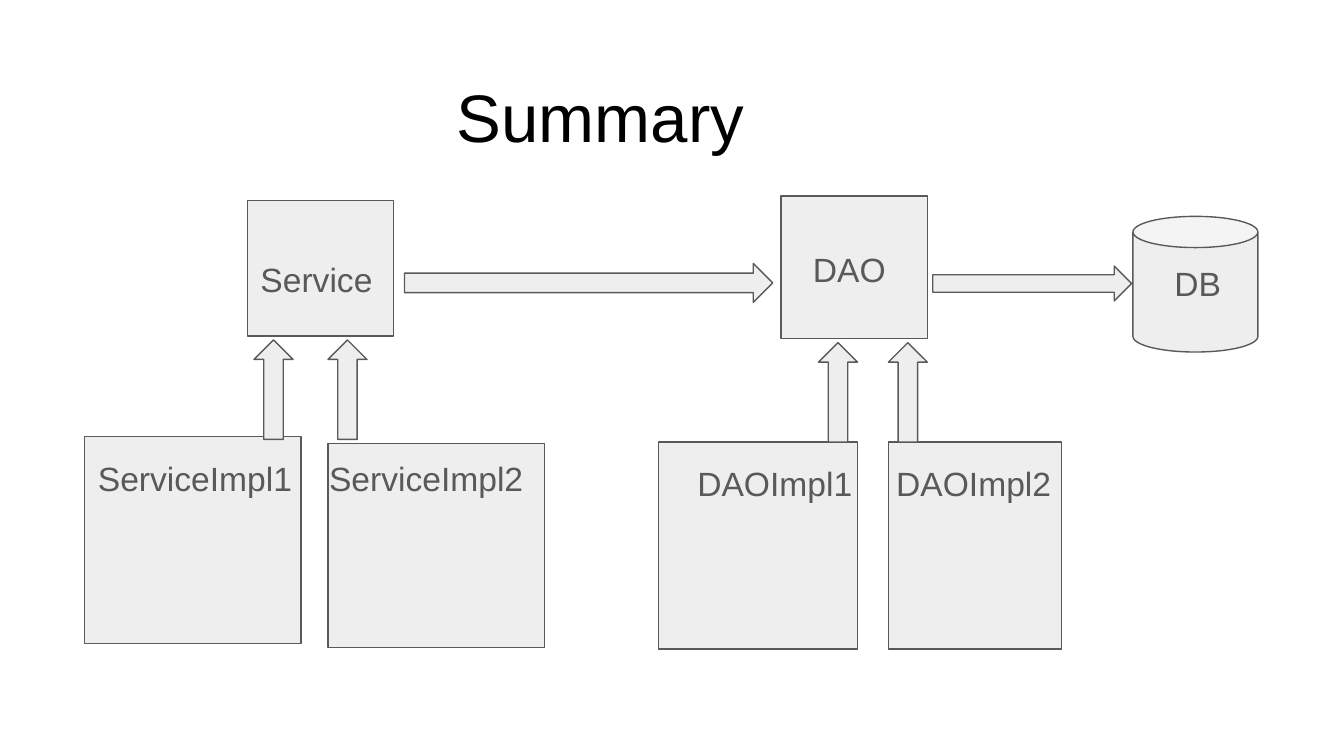
"""Build the summary slide of the service, DAO and database layers."""
from dataclasses import dataclass

from pptx import Presentation
from pptx.dml.color import RGBColor
from pptx.enum.shapes import MSO_SHAPE as Preset
from pptx.enum.text import MSO_ANCHOR as Anchor
from pptx.slide import Slide
from pptx.util import Inches, Pt

COLORS = {"fill": "EEEEEE", "gray": "595959", "title": "000000", "background": "FFFFFF"}
LABEL_PARAGRAPH = {"line_spacing": 1.15, "space_after": Pt(16)}
TITLE_PARAGRAPH = {"line_spacing": 1.0}
LABEL_FONT = {"name": "Arial", "size": Pt(18)}
TITLE_FONT = {"name": "Arial", "size": Pt(36)}
FRAME = {
    "word_wrap": True,
    "vertical_anchor": Anchor.TOP,
    "margin_left": Inches(0.1),
    "margin_right": Inches(0.1),
    "margin_top": Inches(0.1),
    "margin_bottom": Inches(0.1),
}


@dataclass(frozen=True)
class Block:
    preset: Preset
    left: float
    top: float
    width: float
    height: float


@dataclass(frozen=True)
class Label:
    text: str
    left: float
    top: float
    width: float
    height: float


BOXES = [
    Block(Preset.CAN, 8.43, 1.61, 0.93, 1.01),
    Block(Preset.RECTANGLE, 6.61, 3.29, 1.29, 1.54),
    Block(Preset.RECTANGLE, 4.9, 3.29, 1.48, 1.54),
    Block(Preset.RECTANGLE, 5.81, 1.46, 1.09, 1.06),
    Block(Preset.RECTANGLE, 2.44, 3.3, 1.61, 1.52),
    Block(Preset.RECTANGLE, 0.63, 3.25, 1.61, 1.54),
    Block(Preset.RECTANGLE, 1.84, 1.49, 1.09, 1.01),
]
UP_ARROWS = [
    Block(Preset.UP_ARROW, left, top, 0.29, 0.74)
    for left, top in [(1.89, 2.53), (2.44, 2.53), (6.09, 2.55), (6.61, 2.55)]
]
RIGHT_ARROWS = [
    Block(Preset.RIGHT_ARROW, 3.01, 1.96, 2.74, 0.29),
    Block(Preset.RIGHT_ARROW, 6.94, 1.98, 1.48, 0.26),
]
TITLE = Label("Summary", 3.3, 0.46, 2.63, 0.63)
LABELS = [
    Label("Service", 1.84, 1.78, 1.1, 0.92),
    Label("ServiceImpl1", 0.63, 3.26, 1.75, 1.52),
    Label("ServiceImpl2", 2.35, 3.26, 1.75, 1.52),
    Label("DB", 8.64, 1.81, 0.79, 0.92),
    Label("DAOImpl1", 5.09, 3.3, 1.41, 1.52),
    Label("DAOImpl2", 6.57, 3.3, 1.49, 1.52),
    Label("DAO", 5.95, 1.71, 0.79, 0.92),
]


def apply_format(target: object, values: dict) -> None:
    for name, value in values.items():
        setattr(target, name, value)


def color(name: str) -> RGBColor:
    return RGBColor.from_string(COLORS[name])


def bounds(item: Block | Label) -> list[Inches]:
    return [Inches(value) for value in (item.left, item.top, item.width, item.height)]


def draw_block(slide: Slide, block: Block) -> None:
    shape = slide.shapes.add_shape(block.preset, *bounds(block))
    shape.shadow.inherit = False
    shape.fill.solid()
    shape.fill.fore_color.rgb = color("fill")
    shape.line.color.rgb = color("gray")
    shape.line.width = Pt(0.75)


def draw_label(
    slide: Slide, label: Label, layout: dict, font: dict, color_name: str
) -> None:
    text_frame = slide.shapes.add_textbox(*bounds(label)).text_frame
    apply_format(text_frame, FRAME)
    paragraph = text_frame.paragraphs[0]
    apply_format(paragraph, layout)
    run = paragraph.add_run()
    run.text = label.text
    apply_format(run.font, font)
    run.font.color.rgb = color(color_name)


def main() -> None:
    presentation = Presentation()
    presentation.slide_width = Inches(10)
    presentation.slide_height = Inches(10 * 9 / 16)
    slide = presentation.slides.add_slide(presentation.slide_layouts[6])
    slide.background.fill.solid()
    slide.background.fill.fore_color.rgb = color("background")
    for block in BOXES + UP_ARROWS + RIGHT_ARROWS:
        draw_block(slide, block)
    draw_label(slide, TITLE, TITLE_PARAGRAPH, TITLE_FONT, "title")
    for label in LABELS:
        draw_label(slide, label, LABEL_PARAGRAPH, LABEL_FONT, "gray")
    presentation.save("out.pptx")


main()
